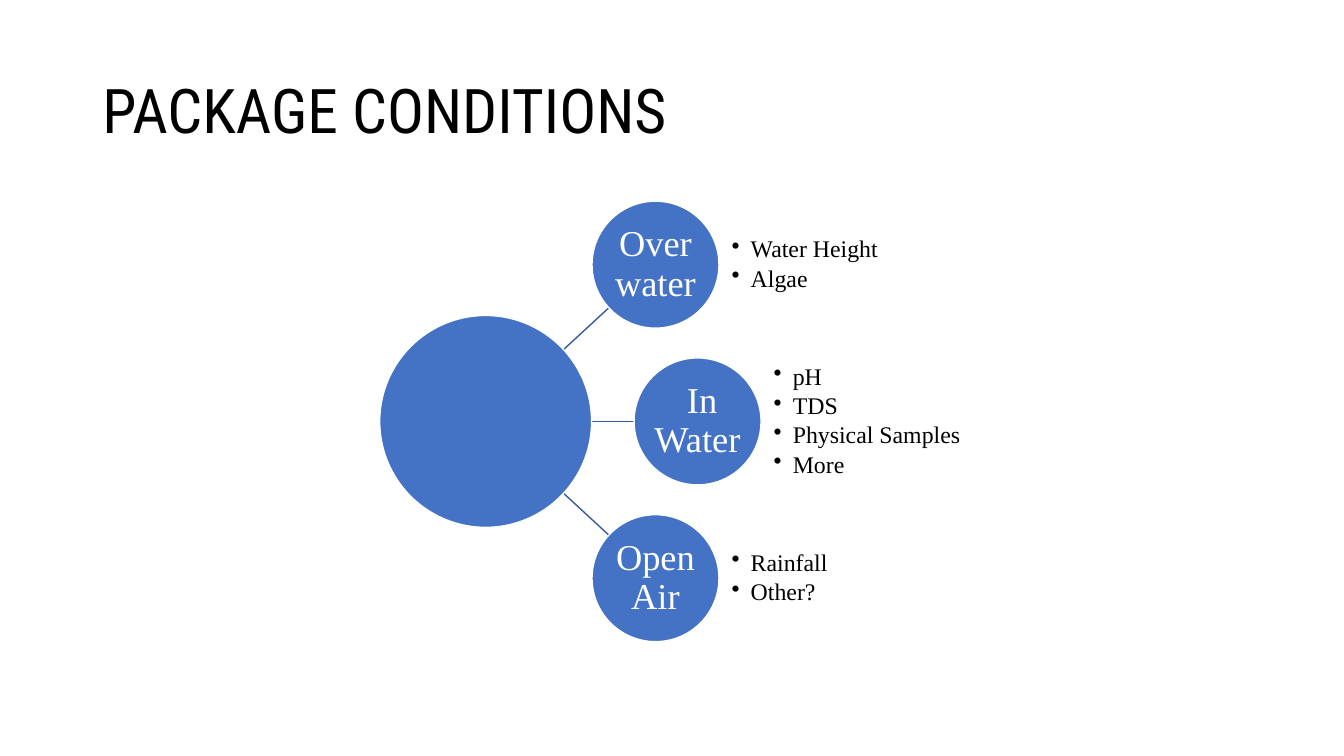
import math
from dataclasses import dataclass

from lxml import etree
from pptx import Presentation
from pptx.dml.color import RGBColor
from pptx.enum import shapes, text
from pptx.oxml import ns
from pptx.util import Cm, Pt


@dataclass(frozen=True)
class Theme:
    """Colours, fonts and type sizes of the slide."""
    circle: RGBColor = RGBColor(0x44, 0x72, 0xC4)
    spoke: RGBColor = RGBColor(0x36, 0x5B, 0x9D)
    light: RGBColor = RGBColor(0xFF, 0xFF, 0xFF)
    dark: RGBColor = RGBColor(0x00, 0x00, 0x00)
    heading_font: str = "Roboto Condensed"
    body_font: str = "Times New Roman"
    title_size: int = 44
    label_size: int = 26
    bullet_size: int = 17


THEME = Theme()
CONDITIONS = [
    ("Over water", ["Water Height", "Algae"]),
    (" In Water", ["pH", "TDS", "Physical Samples", "More"]),
    ("Open Air", ["Rainfall", "Other?"]),
]


def style_paragraph(paragraph, font_name, size, color):
    """Apply font, colour and tight line spacing."""
    paragraph.line_spacing = 0.9
    paragraph.font.name = font_name
    paragraph.font.size = Pt(size)
    paragraph.font.color.rgb = color


def prepare_frame(shape, margin=None):
    """Wrap and centre text vertically, with equal margins if given."""
    frame = shape.text_frame
    frame.word_wrap = True
    frame.vertical_anchor = text.MSO_ANCHOR.MIDDLE
    if margin is not None:
        frame.margin_left = frame.margin_right = Cm(margin)
        frame.margin_top = frame.margin_bottom = Cm(margin)
    return frame


def add_title(slide, left, top, width, height):
    """Place the slide title in its box."""
    box = slide.shapes.add_textbox(Cm(left), Cm(top), Cm(width), Cm(height))
    frame = prepare_frame(box)
    frame.text = "PACKAGE CONDITIONS"
    style_paragraph(frame.paragraphs[0], THEME.heading_font, THEME.title_size, THEME.dark)


def add_circle(slide, center_x, center_y, radius, label=""):
    """Draw a circle around its centre, with an optional label."""
    circle = slide.shapes.add_shape(
        shapes.MSO_SHAPE.OVAL, Cm(center_x - radius), Cm(center_y - radius),
        Cm(2 * radius), Cm(2 * radius))
    circle.shadow.inherit = False
    circle.fill.solid()
    circle.fill.fore_color.rgb = THEME.circle
    circle.line.color.rgb = THEME.light
    circle.line.width = Pt(1)
    if label:
        frame = prepare_frame(circle, 0.04)
        frame.text = label
        paragraph = frame.paragraphs[0]
        paragraph.alignment = text.PP_ALIGN.CENTER
        style_paragraph(paragraph, THEME.body_font, THEME.label_size, THEME.light)


def add_spoke(slide, hub, satellite, start_x, radius):
    """Draw a line along the ray from the hub to the satellite's edge."""
    run, rise = satellite[0] - hub[0], satellite[1] - hub[1]
    start_share = (start_x - hub[0]) / run
    end_share = 1 - radius / math.hypot(run, rise)
    ends = [Cm(hub[axis] + share * delta)
            for share in (start_share, end_share)
            for axis, delta in enumerate((run, rise))]
    spoke = slide.shapes.add_connector(shapes.MSO_CONNECTOR.STRAIGHT, *ends)
    spoke.line.color.rgb = THEME.spoke
    spoke.line.width = Pt(1)
    etree.SubElement(spoke._element.spPr, ns.qn("a:effectLst"))


def add_bullets(slide, items, left, top, width, height):
    """Place a bulleted list in its box."""
    box = slide.shapes.add_textbox(Cm(left), Cm(top), Cm(width), Cm(height))
    frame = prepare_frame(box, 0)
    frame.text = "\n".join(items)
    for paragraph in frame.paragraphs:
        properties = paragraph._p.get_or_add_pPr()
        properties.set("marL", str(Cm(0.48)))
        properties.set("indent", str(Cm(-0.48)))
        etree.SubElement(properties, ns.qn("a:buChar")).set("char", "•")
        paragraph.space_after = Pt(0.15 * THEME.bullet_size)
        style_paragraph(paragraph, THEME.body_font, THEME.bullet_size, THEME.dark)


def add_radial_diagram(slide, left, top, width, height):
    """Fan the conditions out from a hub within the given box."""
    hub_radius, radius, step = 2.67, 1.6, 3.95
    hub = (left + hub_radius, top + height / 2)
    satellites = [(hub[0] + reach, hub[1] + row * step)
                  for row, reach in ((-1, 4.28), (0, 5.34), (1, 4.28))]
    for satellite in satellites:
        add_spoke(slide, hub, satellite, left + 4.53, radius)
    add_circle(slide, *hub, hub_radius)
    for (label, items), (center_x, center_y) in zip(CONDITIONS, satellites):
        add_circle(slide, center_x, center_y, radius, label)
        list_left = center_x + 1.2 * radius
        list_width = min(3 * radius, left + width - list_left)
        add_bullets(slide, items, list_left, center_y - radius, list_width, 2 * radius)


def main():
    """Build and save the slide."""
    presentation = Presentation()
    presentation.slide_width, presentation.slide_height = Cm(33.87), Cm(19.05)
    slide = presentation.slides.add_slide(presentation.slide_layouts[6])
    add_title(slide, 2.33, 1.01, 29.21, 3.68)
    add_radial_diagram(slide, 9.57, 5.07, 14.73, 11.1)
    presentation.save("out.pptx")


if __name__ == "__main__":
    main()
